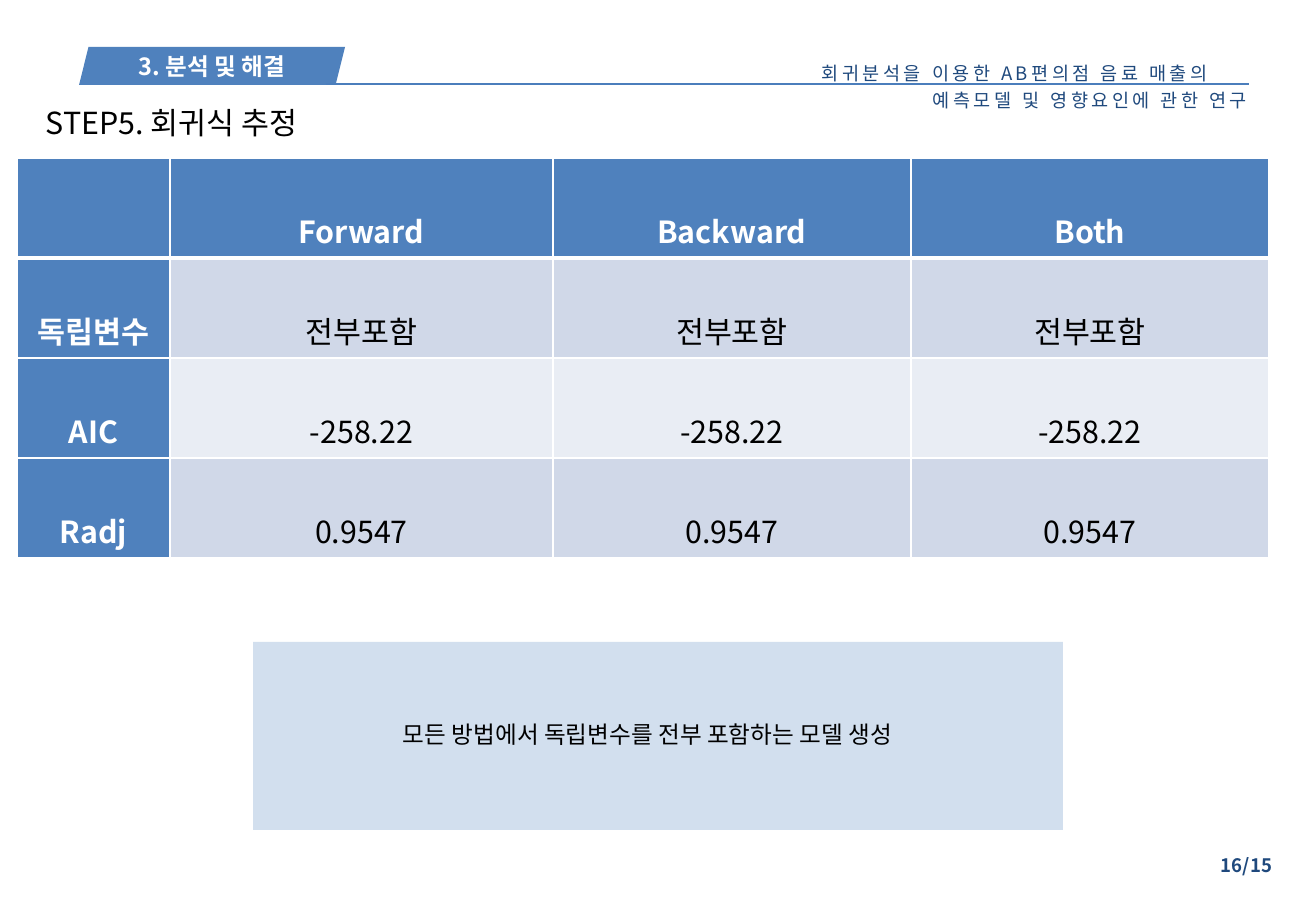
import dataclasses

import lxml.etree
import pptx
import pptx.dml.color
import pptx.enum.shapes
import pptx.enum.text
import pptx.oxml.ns
import pptx.util

SCALE = 914400 / 121.5
ALIGN = pptx.enum.text.PP_ALIGN
ANCHOR = pptx.enum.text.MSO_ANCHOR
SHAPE = pptx.enum.shapes.MSO_SHAPE


@dataclasses.dataclass(frozen=True)
class Theme:
    face: str = "Noto Sans CJK KR"
    blue: str = "4F81BD"
    rule: str = "4B7EBC"
    navy: str = "1F497D"
    white: str = "FFFFFF"
    black: str = "000000"
    bands: tuple = ("D0D8E8", "E9EDF4")
    small: int = 11
    mid: int = 14
    large: int = 18


THEME = Theme()


def px(n):
    return pptx.util.Emu(round(n * SCALE))


def tint(code):
    return pptx.dml.color.RGBColor.from_string(code)


def add(node, tag, **attrs):
    return lxml.etree.SubElement(node, pptx.oxml.ns.qn(tag), attrs)


def write(frame, text, size=THEME.large, color=THEME.black, bold=False,
          align=ALIGN.LEFT, space=None, track=0, indents=()):
    for i, line in enumerate(text.split("\n")):
        para = frame.add_paragraph() if i else frame.paragraphs[0]
        para.alignment = align
        if space:
            para.line_spacing = space
        if indents:
            para._p.get_or_add_pPr().set("marL", str(px(indents[i])))
        run = para.add_run()
        run.text = line
        font = run.font
        font.size = pptx.util.Pt(size)
        font.bold = bold
        font.color.rgb = tint(color)
        font.name = THEME.face
        props = run._r.get_or_add_rPr()
        add(props, "a:ea", typeface=THEME.face)
        if track:
            props.set("spc", str(track))


class Page:
    """Draws styled parts on one slide, with lengths in px."""

    def __init__(self, deck, theme):
        self.theme = theme
        self.slide = deck.slides.add_slide(deck.slide_layouts[6])
        self.shapes = self.slide.shapes

    def text(self, x, y, w, h, words, wrap=True, anchor=ANCHOR.TOP, **style):
        frame = self.shapes.add_textbox(*map(px, (x, y, w, h))).text_frame
        frame.word_wrap = wrap
        frame.vertical_anchor = anchor
        write(frame, words, **style)

    def shape(self, kind, x, y, w, h, words="", alpha=None, **style):
        item = self.shapes.add_shape(kind, *map(px, (x, y, w, h)))
        item.shadow.inherit = False
        item.fill.solid()
        item.fill.fore_color.rgb = tint(self.theme.blue)
        item.line.fill.background()
        if alpha:
            color = item._element.spPr.find(".//" + pptx.oxml.ns.qn("a:srgbClr"))
            add(color, "a:alpha", val=str(alpha * 1000))
        if words:
            item.text_frame.vertical_anchor = ANCHOR.MIDDLE
            write(item.text_frame, words, **style)

    def line(self, x, y, end):
        item = self.shapes.add_connector(
            pptx.enum.shapes.MSO_CONNECTOR.STRAIGHT, *map(px, (x, y, end, y)))
        item.line.color.rgb = tint(self.theme.rule)
        item.line.width = pptx.util.Pt(1)
        add(item._element.spPr, "a:effectLst")

    def edge(self, cell, row):
        props = cell._tc.get_or_add_tcPr()
        thick = {"T": row == 1, "B": row == 0}
        for side in "LRTB":
            width = pptx.util.Pt(3 if thick.get(side) else 1)
            fill = add(add(props, "a:ln" + side, w=str(width)), "a:solidFill")
            add(fill, "a:srgbClr", val=self.theme.white)

    def table(self, x, y, cols, high, rows):
        grid = self.shapes.add_table(
            len(rows), len(cols), px(x), px(y),
            px(sum(cols)), px(high * len(rows))).table
        for col, wide in zip(grid.columns, cols):
            col.width = px(wide)
        for r, row in enumerate(rows):
            grid.rows[r].height = px(high)
            for c, words in enumerate(row):
                cell = grid.cell(r, c)
                head = r == 0 or c == 0
                self.edge(cell, r)
                cell.fill.solid()
                cell.fill.fore_color.rgb = tint(
                    self.theme.blue if head else self.theme.bands[(r - 1) % 2])
                if words:
                    write(cell.text_frame, words, bold=head, space=2.0,
                          align=ALIGN.CENTER,
                          color=self.theme.white if head else self.theme.black)


def main():
    deck = pptx.Presentation()
    deck.slide_width, deck.slide_height = px(1316), px(911)
    page = Page(deck, THEME)
    page.text(810, 51, 493, 67,
              "회귀분석을 이용한 AB편의점 음료 매출의\n예측모델 및 영향요인에 관한 연구",
              size=THEME.small, color=THEME.navy, track=200,
              space=pptx.util.Pt(16), indents=(0, 111))
    page.text(1000, 848, 284, 35, "16/15", size=THEME.small,
              color=THEME.navy, bold=True, align=ALIGN.RIGHT)
    page.shape(SHAPE.PARALLELOGRAM, 79, 47, 266, 38, "3. 분석 및 해결",
               size=THEME.mid, color=THEME.white, bold=True,
               align=ALIGN.CENTER)
    page.line(326, 84, 1249)
    page.text(34, 98, 503, 49, "STEP5. 회귀식 추정")
    facts = {"독립변수": "전부포함", "AIC": "-258.22", "Radj": "0.9547"}
    rows = [["", "Forward", "Backward", "Both"]]
    rows += [[name] + [fact] * 3 for name, fact in facts.items()]
    page.table(17, 158, (153, 383, 358, 358), 100, rows)
    page.shape(SHAPE.RECTANGLE, 253, 642, 810, 188, alpha=25)
    page.text(391, 702, 533, 50,
              "모든 방법에서 독립변수를 전부 포함하는 모델 생성",
              wrap=False, anchor=ANCHOR.MIDDLE, size=THEME.mid, space=1.5)
    deck.save("out.pptx")


if __name__ == "__main__":
    main()
